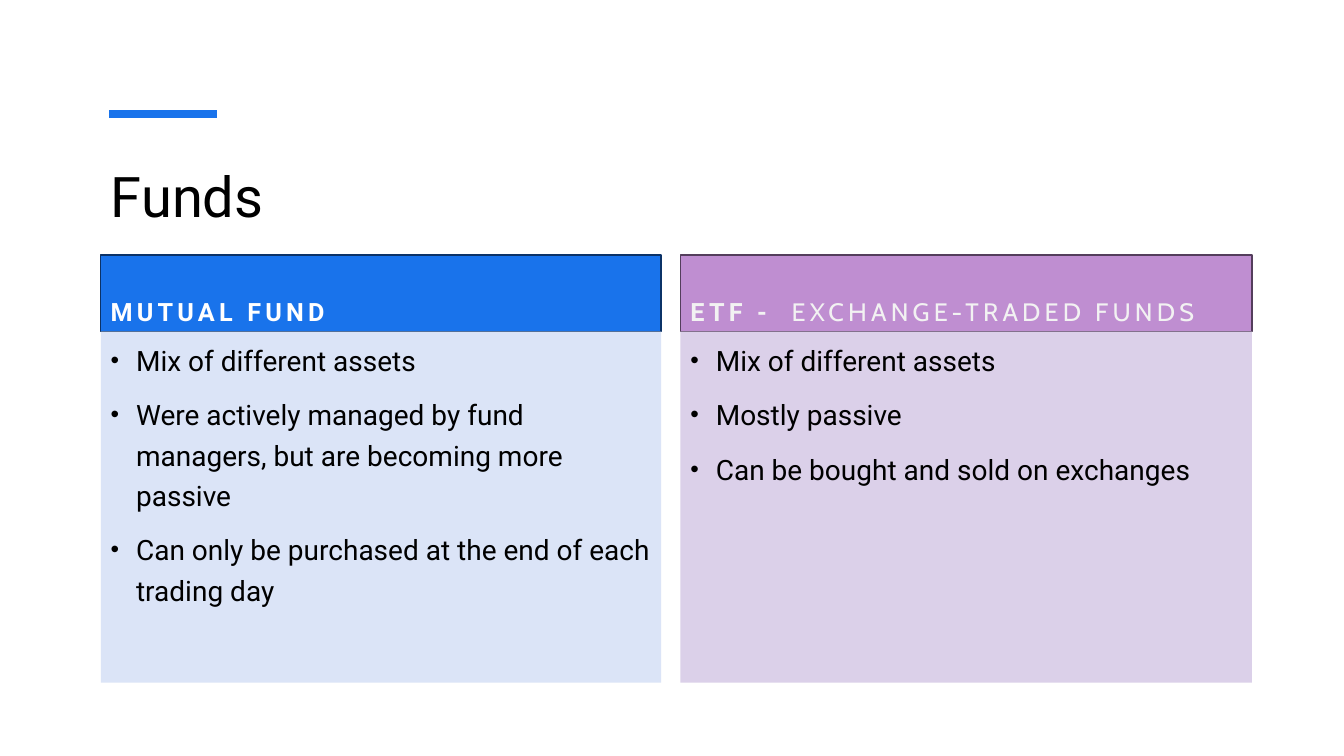
from lxml import etree
from pptx import Presentation
from pptx.dml.color import RGBColor
from pptx.enum.shapes import MSO_CONNECTOR, MSO_SHAPE
from pptx.enum.text import MSO_ANCHOR, PP_ALIGN
from pptx.oxml.ns import qn
from pptx.util import Cm, Pt

RECT, LINE = MSO_SHAPE.RECTANGLE, MSO_CONNECTOR.STRAIGHT
TOP, BOTTOM, LEFT = MSO_ANCHOR.TOP, MSO_ANCHOR.BOTTOM, PP_ALIGN.LEFT
TITLE_ONLY = 5

COLORS = {
    "blue": "1973EB", "navy": "0B3267", "sky": "DBE4F7",
    "purple": "BF8ED1", "plum": "543E5C", "lilac": "DBD0E9",
    "black": "000000", "white": "FFFFFF", "pale": "F2F2F2",
}
HEAD_Y, HEAD_H = 6.43, 1.93
BODY_Y, BODY_H = HEAD_Y + HEAD_H, 8.84

FUNDS = [
    {"x": 2.54, "w": 14.12, "fill": "blue", "edge": "navy", "ink": "white",
     "tint": "sky", "head": [("MUTUAL FUND", "Roboto", True)],
     "items": ["Mix of different assets",
               "Were actively managed by fund managers, "
               "but are becoming more passive",
               "Can only be purchased at the end of each trading day"]},
    {"x": 17.15, "w": 14.4, "fill": "purple", "edge": "plum", "ink": "pale",
     "tint": "lilac", "head": [("ETF - ", "Roboto", True),
                               (" EXCHANGE-TRADED FUNDS ", "Cabin", False)],
     "items": ["Mix of different assets",
               "Mostly passive",
               "Can be bought and sold on exchanges"]},
]


def color(name):
    return RGBColor.from_string(COLORS[name])


def assign(obj, values):
    for key, value in values.items():
        setattr(obj, key, value)


class Deck:
    para = {"alignment": LEFT, "line_spacing": 1.2, "space_before": Pt(10)}

    def __init__(self):
        self.prs = Presentation()
        assign(self.prs, {"slide_width": Cm(33.87), "slide_height": Cm(19.05)})
        layout = self.prs.slide_layouts[TITLE_ONLY]
        self.slide = self.prs.slides.add_slide(layout)

    def run(self, para, text, size, ink, face="Roboto", bold=False):
        run = para.add_run()
        run.text = text
        assign(run.font, {"name": face, "size": Pt(size), "bold": bold})
        run.font.color.rgb = color(ink)
        return run

    def accent(self, x, y, width):
        line = self.slide.shapes.add_connector(
            LINE, Cm(x), Cm(y), Cm(x + width), Cm(y))
        line.line.color.rgb = color("blue")
        line.line.width = Pt(6)
        etree.SubElement(line._element.spPr, qn("a:effectLst"))

    def title(self, text, x, y, width, height):
        shape = self.slide.shapes.title
        assign(shape, {"left": Cm(x), "top": Cm(y),
                       "width": Cm(width), "height": Cm(height)})
        assign(shape.text_frame, {"vertical_anchor": TOP, "word_wrap": True,
                                  "margin_top": Cm(0.25)})
        para = shape.text_frame.paragraphs[0]
        para.alignment = LEFT
        self.run(para, text, 40, "black")

    def panel(self, x, y, width, height, fill, anchor, edge=None):
        """Draw a filled box and return its text frame."""
        box = self.slide.shapes.add_shape(
            RECT, Cm(x), Cm(y), Cm(width), Cm(height))
        box.shadow.inherit = False
        box.fill.solid()
        box.fill.fore_color.rgb = color(fill)
        if edge:
            box.line.color.rgb = color(edge)
            box.line.width = Pt(1)
        else:
            box.line.fill.background()
        assign(box.text_frame, {"word_wrap": True, "vertical_anchor": anchor})
        return box.text_frame

    def header(self, fund):
        frame = self.panel(fund["x"], HEAD_Y, fund["w"], HEAD_H,
                           fund["fill"], BOTTOM, fund["edge"])
        para = frame.paragraphs[0]
        assign(para, self.para)
        for text, face, bold in fund["head"]:
            run = self.run(para, text, 18, fund["ink"], face, bold)
            run.font._element.set("spc", "300")

    def bullets(self, fund):
        frame = self.panel(fund["x"], BODY_Y, fund["w"], BODY_H,
                           fund["tint"], TOP)
        for i, text in enumerate(fund["items"]):
            para = frame.add_paragraph() if i else frame.paragraphs[0]
            assign(para, self.para)
            self.run(para, text, 20, "black")
            props = para._p.get_or_add_pPr()
            indent = Cm(0.64)
            props.set("marL", str(indent))
            props.set("indent", str(-indent))
            etree.SubElement(props, qn("a:buSzPct"), val="87000")
            etree.SubElement(props, qn("a:buFont"), typeface="Arial")
            etree.SubElement(props, qn("a:buChar"), char="•")


def main():
    deck = Deck()
    deck.accent(2.75, 2.87, 2.72)
    deck.title("Funds", 2.54, 3.81, 29, 2.62)
    for fund in FUNDS:
        deck.header(fund)
        deck.bullets(fund)
    deck.prs.save("out.pptx")


if __name__ == "__main__":
    main()
